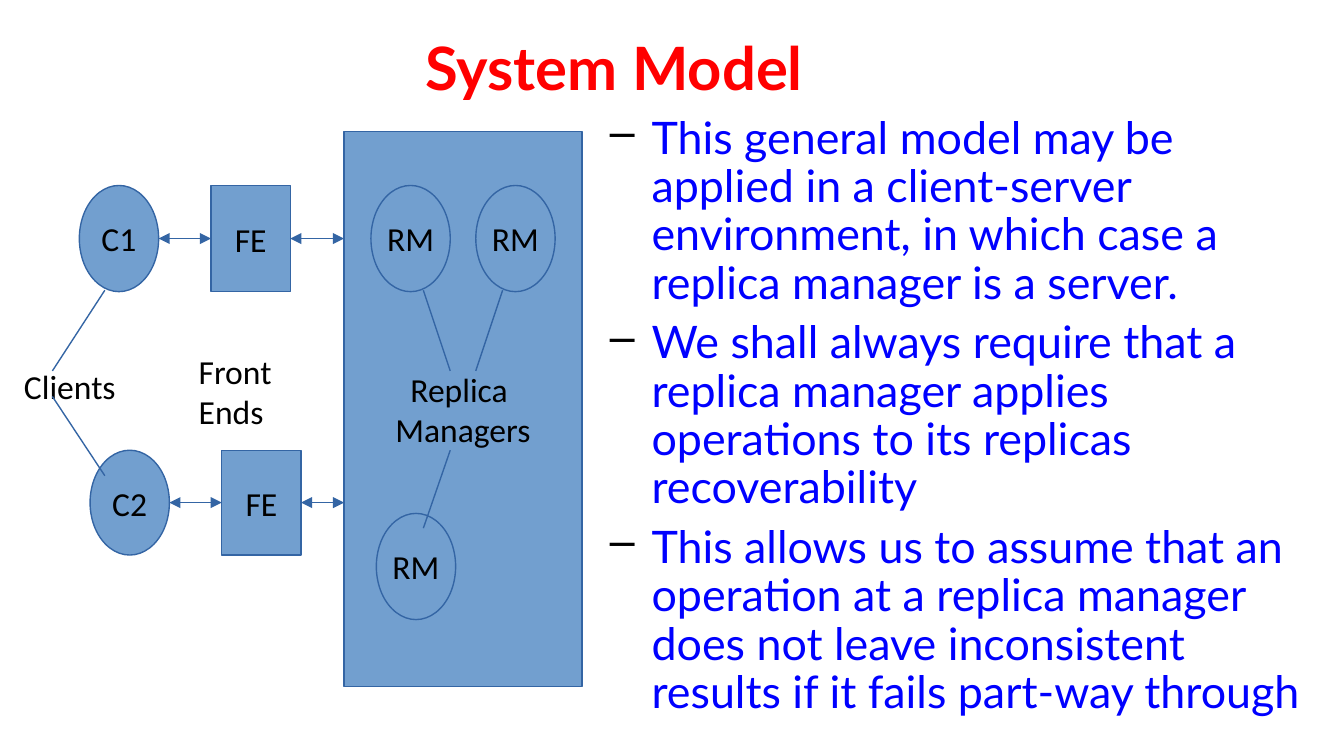
from lxml import etree
from pptx import Presentation
from pptx.dml.color import RGBColor
from pptx.enum import shapes, text
from pptx.oxml import ns
from pptx.util import Inches, Pt

RED = RGBColor(0xFF, 0x00, 0x00)
BLUE = RGBColor(0x00, 0x00, 0xFF)
BLACK = RGBColor(0x00, 0x00, 0x00)
FILL = RGBColor(0x72, 0x9F, 0xCF)
EDGE = RGBColor(0x34, 0x65, 0xA4)
RECT = shapes.MSO_SHAPE.RECTANGLE
OVAL = shapes.MSO_SHAPE.OVAL
LEFT, MID = text.PP_ALIGN.LEFT, text.PP_ALIGN.CENTER

deck = Presentation()
deck.slide_width = Inches(10)
deck.slide_height = Inches(10 * 9 / 16)
slide = deck.slides.add_slide(deck.slide_layouts[6])


def write(shape, lines, align, size=18, face="Calibri", color=BLACK, wrap=False):
    frame = shape.text_frame
    frame.word_wrap = wrap
    for i, line in enumerate(lines):
        para = frame.paragraphs[0] if i == 0 else frame.add_paragraph()
        para.alignment = align
        run = para.add_run()
        run.text = line
        run.font.size = Pt(size)
        run.font.name = face
        run.font.color.rgb = color
    return frame


def link(x1, y1, x2, y2, arrows=False):
    line = slide.shapes.add_connector(
        shapes.MSO_CONNECTOR.STRAIGHT, Inches(x1), Inches(y1), Inches(x2), Inches(y2))
    line.line.color.rgb = EDGE
    line.line.width = Pt(0.75)
    if arrows:
        for end in ("a:headEnd", "a:tailEnd"):
            etree.SubElement(line.line._get_or_add_ln(), ns.qn(end), type="triangle")
    etree.SubElement(line._element.spPr, ns.qn("a:effectLst"))
    return line


title = slide.shapes.add_textbox(Inches(0.07), Inches(0.06), Inches(9), Inches(0.94))
frame = write(title, ["System Model"], MID, 32, "Lato", RED, True)
frame.vertical_anchor = text.MSO_ANCHOR.MIDDLE
frame.paragraphs[0].line_spacing = 0.9
frame.paragraphs[0].runs[0].font.bold = True

points = [
    "This general model may be applied in a client-server environment, in which case a replica manager is a server.",
    "We shall always require that a replica manager applies operations to its replicas recoverability",
    "This allows us to assume that an operation at a replica manager does not leave inconsistent results if it fails part-way through",
]
body = slide.shapes.add_textbox(Inches(3.94), Inches(0.81), Inches(5.86), Inches(4.7))
frame = write(body, points, LEFT, 24, "Lato", BLUE, True)
for i, para in enumerate(frame.paragraphs):
    para.level = 1
    props = para._p.get_or_add_pPr()
    props.set("marL", str(Inches(0.81)))
    props.set("indent", str(Inches(-0.31)))
    tint = etree.SubElement(props, ns.qn("a:buClr"))
    etree.SubElement(tint, ns.qn("a:srgbClr"), val=str(BLACK))
    etree.SubElement(props, ns.qn("a:buChar"), char="–")
    para.line_spacing = 0.9
    para.space_before = Pt(6 if i else 0)

nodes = []
for kind, x, y, w, h, lines in [
    (RECT, 2.56, 0.98, 1.77, 4.13, ["Replica ", "Managers"]),
    (OVAL, 0.59, 1.38, 0.59, 0.79, ["C1"]),
    (RECT, 1.57, 1.38, 0.59, 0.79, ["FE"]),
    (OVAL, 0.67, 3.35, 0.59, 0.78, ["C2"]),
    (RECT, 1.65, 3.35, 0.59, 0.78, ["FE"]),
    (OVAL, 2.76, 1.38, 0.59, 0.79, ["RM"]),
    (OVAL, 2.8, 3.82, 0.59, 0.79, ["RM"]),
    (OVAL, 3.54, 1.38, 0.59, 0.79, ["RM"]),
]:
    node = slide.shapes.add_shape(kind, Inches(x), Inches(y), Inches(w), Inches(h))
    node.shadow.inherit = False
    node.fill.solid()
    node.fill.fore_color.rgb = FILL
    node.line.color.rgb = EDGE
    node.line.width = Pt(0.75)
    write(node, lines, MID).vertical_anchor = text.MSO_ANCHOR.MIDDLE
    nodes.append(node)

for x, y, w, h, lines in [
    (0.08, 2.67, 0.88, 0.4, ["Clients"]),
    (1.38, 2.56, 0.8, 0.7, ["Front", "Ends"]),
]:
    label = slide.shapes.add_textbox(Inches(x), Inches(y), Inches(w), Inches(h))
    write(label, lines, LEFT)

for ends in [
    (3.35, 2.76, 3.15, 2.16),
    (3.54, 2.76, 3.74, 2.16),
    (3.35, 3.35, 3.15, 3.93),
    (0.39, 2.76, 0.78, 2.16),
    (0.39, 2.95, 0.78, 3.54),
]:
    link(*ends)

for front, x in [(nodes[2], 1.18), (nodes[4], 1.26)]:
    y = front.top.inches + front.height.inches / 2
    link(x, y, x + 0.39, y, True).end_connect(front, 1)
    link(x + 0.98, y, 2.56, y, True).begin_connect(front, 3)

deck.save("out.pptx")
